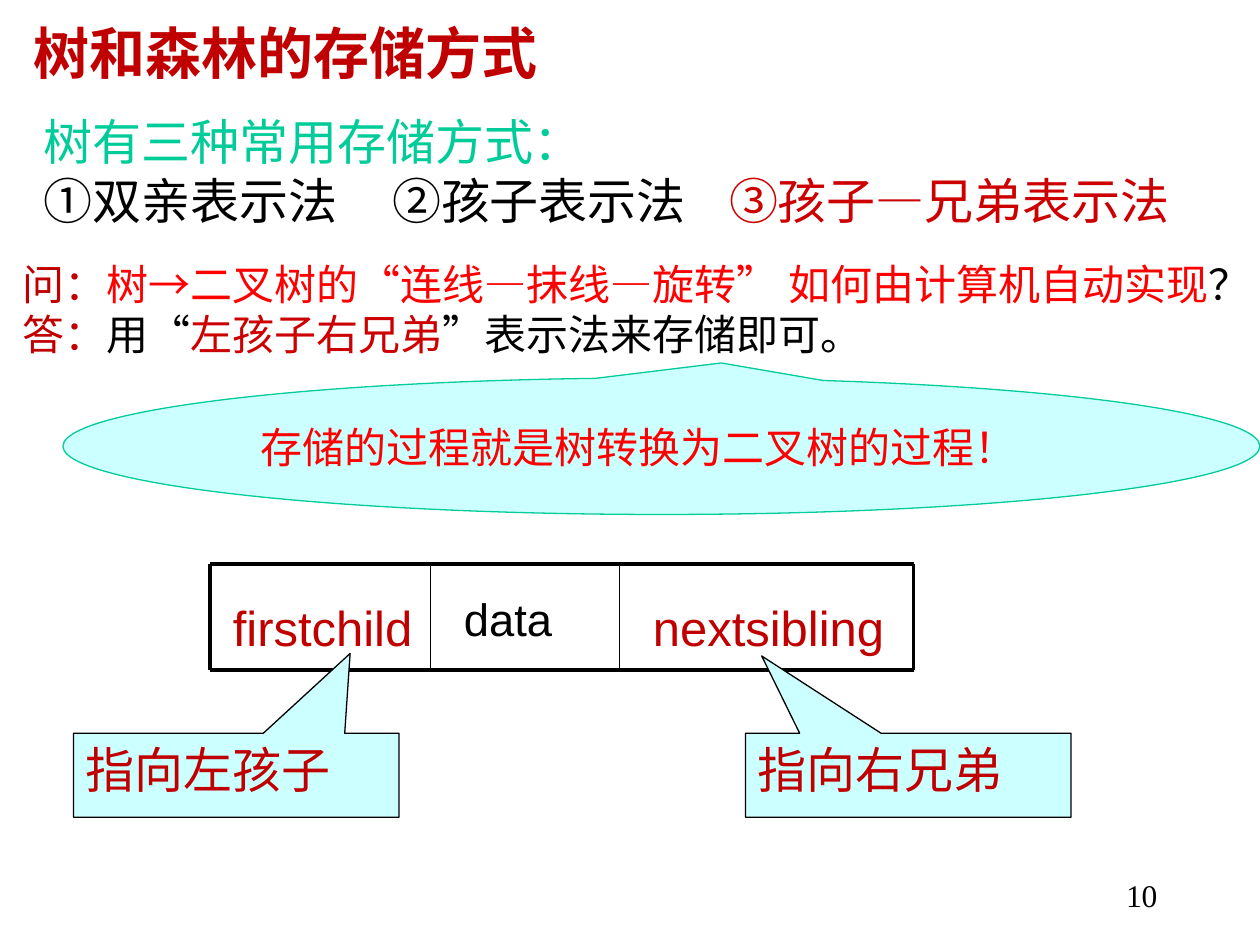
"""Build the slide on how trees and forests are stored."""
from lxml.etree import SubElement
from pptx import Presentation
from pptx.dml.color import RGBColor
from pptx.enum.shapes import MSO_CONNECTOR as Connector, MSO_SHAPE as Shape
from pptx.enum.text import MSO_ANCHOR as Anchor, PP_ALIGN as Align
from pptx.oxml.ns import qn
from pptx.util import Pt

THEME = {
    "black": "000000", "crimson": "C00000", "dark_red": "CC0000", "red": "FF0000",
    "green": "00CC99", "aqua": "CCFFFF",
    "serif": "Times New Roman", "sans": "Arial", "cjk": "Noto Sans CJK SC",
    "title": 32, "body": 28, "data": 25.9, "answer": 24, "page": 18,
}

TITLE = [[("树和森林的存储方式", "crimson", "serif")]]
METHODS = [
    [("树有三种常用存储方式：", "green", "serif")],
    [("①双亲表示法\t②孩子表示法\t", "black", "serif"),
     ("③孩子—兄弟表示法", "dark_red", "serif")],
]
METHOD_TABS = (199, 391.5)
QUESTION = [
    [("问：", "crimson", "cjk"), ("树→二叉树的", "red", "cjk"),
     ("“", "red", "serif"), ("连线", "red", "cjk"),
     ("—", "red", "serif"), ("抹线", "red", "cjk"),
     ("—", "red", "serif"), ("旋转", "red", "cjk"),
     ("”", "red", "serif"), (" 如何由计算机自动实现", "red", "cjk"),
     ("？", "black", "cjk")],
    [("答：", "crimson", "cjk"), ("用", "black", "cjk"),
     ("“", "black", "serif"), ("左孩子右兄弟", "dark_red", "cjk"),
     ("”", "black", "serif"), ("表示法来存储即可。", "black", "cjk")],
]
REMARK = [[("存储的过程就是树转换为二叉树的过程！", "red", "cjk")]]
PAGE = [[("10", "black", "serif")]]

NODE_TOP, NODE_BOTTOM = 322.5, 383
NODE_EDGES = (120, 246, 354, 522)
NODE_FIELDS = [
    ("firstchild", "crimson", "body", 6, 1),
    ("data", "black", "data", 12, 0.9),
    ("nextsibling", "crimson", "body", 12, 1),
]
POINTERS = [
    ("指向左孩子", 42, (0.35, -1.45)),
    ("指向右兄弟", 426, (-0.45, -1.42)),
]


def color(name):
    return RGBColor.from_string(THEME[name])


def write(holder, lines, size, bold=False, hanging=0, tabs=(), align=Align.LEFT, spacing=1):
    frame = holder.text_frame
    frame.word_wrap = True
    for number, pieces in enumerate(lines):
        paragraph = frame.add_paragraph() if number else frame.paragraphs[0]
        paragraph.alignment = align
        paragraph.line_spacing = spacing
        properties = paragraph._p.get_or_add_pPr()
        if hanging:
            properties.set("marL", str(Pt(hanging)))
            properties.set("indent", str(-Pt(hanging)))
        if tabs:
            tab_list = SubElement(properties, qn("a:tabLst"))
            for stop in tabs:
                SubElement(tab_list, qn("a:tab"), pos=str(Pt(stop)), algn="l")
        for words, ink, face in pieces:
            run = paragraph.add_run()
            run.text = words
            run.font.size = Pt(THEME[size])
            run.font.bold = bold
            run.font.color.rgb = color(ink)
            run.font.name = THEME[face]
            SubElement(run._r.get_or_add_rPr(), qn("a:ea"), typeface=THEME["cjk"])


def add_text(slide, box, lines, size, **style):
    write(slide.shapes.add_textbox(*map(Pt, box)), lines, size, **style)


def add_callout(slide, kind, box, tip, outline, lines, size, anchor, inset=7.2):
    callout = slide.shapes.add_shape(kind, *map(Pt, box))
    callout.shadow.inherit = False
    callout.adjustments[0], callout.adjustments[1] = tip
    callout.fill.solid()
    callout.fill.fore_color.rgb = color("aqua")
    callout.line.color.rgb = color(outline)
    callout.line.width = Pt(0.75)
    callout.text_frame.vertical_anchor = anchor
    callout.text_frame.margin_left = Pt(inset)
    write(callout, lines, size)


def add_line(slide, start, end, width):
    line = slide.shapes.add_connector(Connector.STRAIGHT, *map(Pt, (*start, *end)))
    line.line.color.rgb = color("black")
    line.line.width = Pt(width)
    SubElement(line._element.spPr, qn("a:effectLst"))


def add_node(slide):
    left, right = NODE_EDGES[0], NODE_EDGES[-1]
    for (field, ink, size, gap, spacing), start, end in zip(NODE_FIELDS, NODE_EDGES, NODE_EDGES[1:]):
        add_text(slide, (start + gap, NODE_TOP + 15.5, end - start - gap, 42),
                 [[(field, ink, "sans")]], size, spacing=spacing)
    for y in (NODE_TOP, NODE_BOTTOM):
        add_line(slide, (left, y), (right, y), 2.25)
    for x in NODE_EDGES:
        add_line(slide, (x, NODE_TOP), (x, NODE_BOTTOM), 2.25 if x in (left, right) else 1)


def main():
    deck = Presentation()
    deck.slide_width, deck.slide_height = Pt(720), Pt(540)
    slide = deck.slides.add_slide(deck.slide_layouts[6])
    add_text(slide, (12, 7, 498, 45.5), TITLE, "title", bold=True)
    add_text(slide, (18, 60, 672, 108), METHODS, "body", tabs=METHOD_TABS)
    add_node(slide)
    for words, left, tip in POINTERS:
        add_callout(slide, Shape.RECTANGULAR_CALLOUT, (left, 419, 186, 48), tip, "black",
                    [[(words, "crimson", "cjk")]], "body", Anchor.TOP)
    add_text(slide, (6, 144, 721.5, 65), QUESTION, "answer", hanging=67.5)
    add_callout(slide, Shape.OVAL_CALLOUT, (36, 216, 684, 78), (0.05, -0.61), "green",
                REMARK, "answer", Anchor.MIDDLE, inset=12.5)
    add_text(slide, (518.5, 497, 150, 36), PAGE, "page", align=Align.RIGHT)
    deck.save("out.pptx")


if __name__ == "__main__":
    main()
